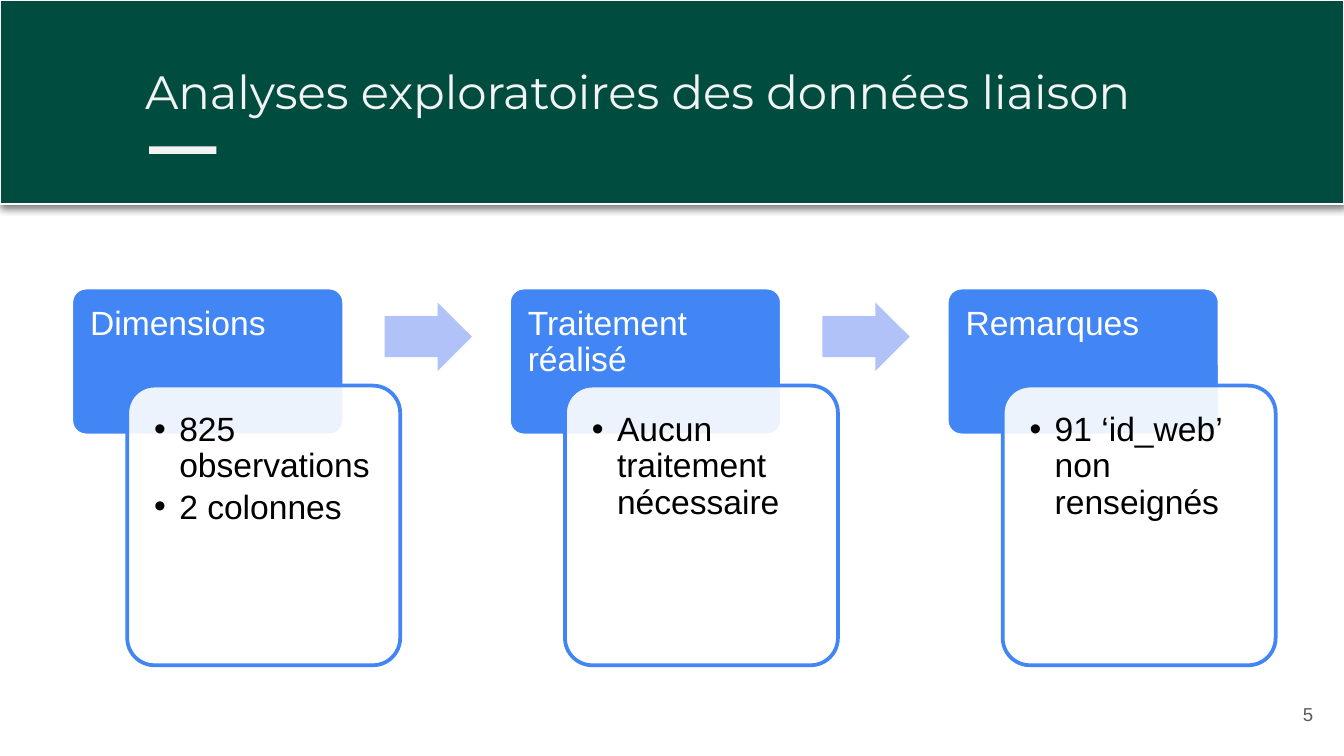
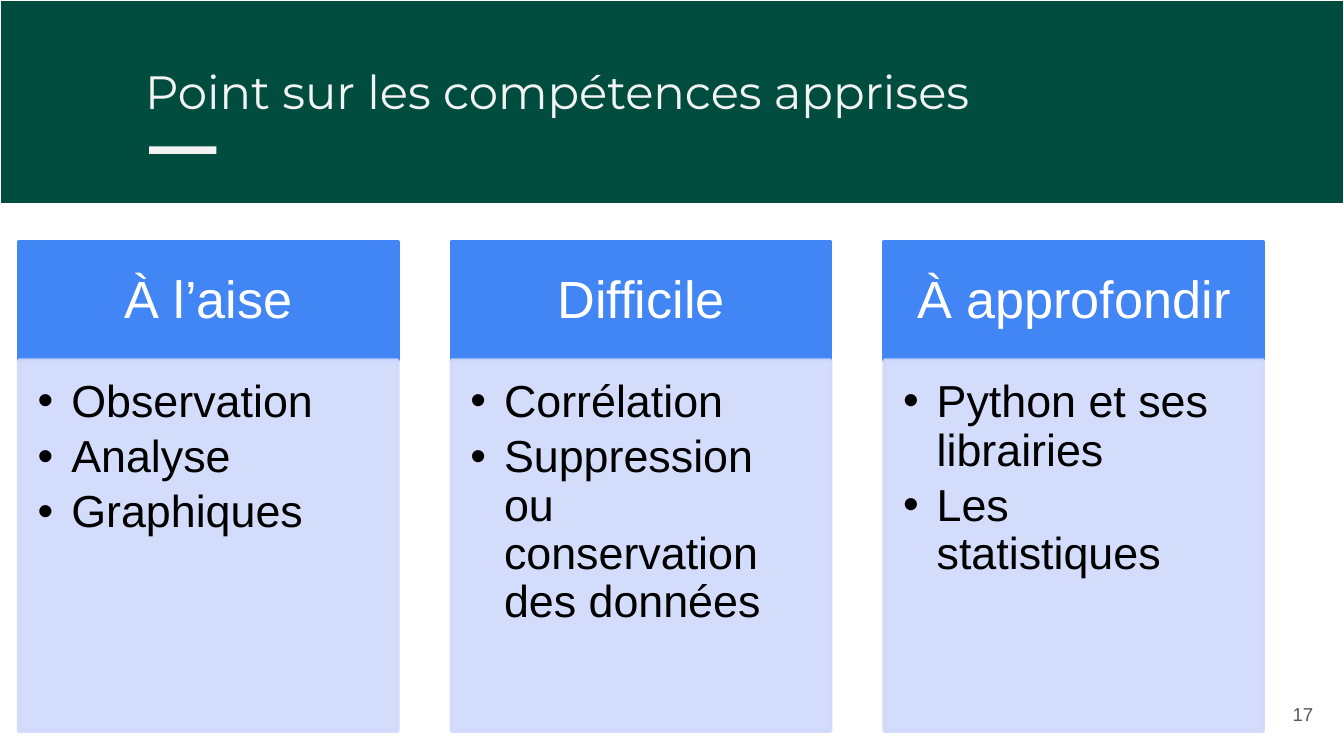
from dataclasses import dataclass

from lxml.etree import SubElement
from pptx import Presentation
from pptx.dml.color import RGBColor
from pptx.enum.shapes import MSO_SHAPE
from pptx.enum.text import MSO_ANCHOR, PP_ALIGN
from pptx.oxml.ns import qn
from pptx.util import Pt


@dataclass(frozen=True)
class Theme:
    green: str = "004D40"
    pale: str = "F3F3F3"
    white: str = "FFFFFF"
    black: str = "000000"
    grey: str = "595959"
    blue: str = "4285F4"
    arrow: str = "B0C2F8"
    panel: str = "CFD9FB"
    title_font: str = "Montserrat"
    body_font: str = "Arial"
    title_size: float = 25
    number_size: float = 10
    step_size: float = 18
    heading_size: float = 28
    item_size: float = 24
    line_spacing: float = 0.9
    heading_after: float = 0.35
    item_after: float = 0.15
    opacity: int = 90


THEME = Theme()

STEPS = [
    ("Dimensions", ["825 observations", "2 colonnes"]),
    ("Traitement réalisé", ["Aucun traitement nécessaire"]),
    ("Remarques", ["91 ‘id_web’ non renseignés"]),
]
SKILLS = [
    ("À l’aise", ["Observation", "Analyse", "Graphiques"]),
    ("Difficile", ["Corrélation", "Suppression ou conservation des données"]),
    ("À approfondir", ["Python et ses librairies", "Les statistiques"]),
]


def set_opacity(colour_parent, percent):
    for colour in colour_parent.iter(qn("a:srgbClr")):
        SubElement(colour, qn("a:alpha"), val=str(percent * 1000))


def add_block(page, kind, bounds, fill, line=None, line_width=2, adjustments=()):
    shape = page.shapes.add_shape(kind, *map(Pt, bounds))
    shape.shadow.inherit = False
    for index, value in enumerate(adjustments):
        shape.adjustments[index] = value
    shape.fill.solid()
    shape.fill.fore_color.rgb = RGBColor.from_string(fill)
    if line:
        shape.line.color.rgb = RGBColor.from_string(line)
        shape.line.width = Pt(line_width)
    else:
        shape.line.fill.background()
    return shape


def add_drop_shadow(shape):
    effects = shape.element.spPr.find(qn("a:effectLst"))
    shadow = SubElement(effects, qn("a:outerShdw"), blurRad=str(Pt(4.5)),
                        dist=str(Pt(1.5)), dir="5400000", algn="t", rotWithShape="0")
    colour = SubElement(shadow, qn("a:srgbClr"), val=THEME.black)
    SubElement(colour, qn("a:alpha"), val="50000")


def add_bullet(para, indent):
    properties = para._p.get_or_add_pPr()
    properties.set("marL", str(Pt(indent)))
    properties.set("indent", str(-Pt(indent)))
    colour = SubElement(properties, qn("a:buClr"))
    SubElement(colour, qn("a:srgbClr"), val=THEME.black)
    SubElement(properties, qn("a:buFont"), typeface=THEME.body_font)
    SubElement(properties, qn("a:buChar"), char="•")


def set_text(shape, lines, size, colour, insets, font=THEME.body_font,
             align=PP_ALIGN.LEFT, anchor=MSO_ANCHOR.TOP,
             spacing=None, after=0, bullet_indent=0):
    """Fill a shape with paragraphs; after is a share of the type size."""
    frame = shape.text_frame
    frame.word_wrap = True
    frame.vertical_anchor = anchor
    (frame.margin_left, frame.margin_top,
     frame.margin_right, frame.margin_bottom) = map(Pt, insets)
    frame.text = "\n".join(lines)
    for para in frame.paragraphs:
        if bullet_indent:
            add_bullet(para, bullet_indent)
        para.alignment = align
        para.space_after = Pt(size * after)
        if spacing:
            para.line_spacing = spacing
        for span in para.runs:
            span.font.name = font
            span.font.size = Pt(size)
            span.font.color.rgb = RGBColor.from_string(colour)


def set_heading(shape, heading, size, insets, **layout):
    set_text(shape, [heading], size, THEME.white, insets,
             spacing=THEME.line_spacing, after=THEME.heading_after, **layout)


def set_items(shape, items, size, insets, indent):
    set_text(shape, items, size, THEME.black, insets, spacing=THEME.line_spacing,
             after=THEME.item_after, bullet_indent=indent)


def add_page(deck, title, number, shadow=False):
    """Add a slide with its title band, accent bar and page number."""
    page = deck.slides.add_slide(deck.slide_layouts[6])
    band = add_block(page, MSO_SHAPE.RECTANGLE, (0, 0, 720, 109.4),
                     THEME.green, THEME.white, 0.75)
    if shadow:
        add_drop_shadow(band)
    insets = (7.2,) * 4
    title_box = page.shapes.add_textbox(*map(Pt, (70.6, 26.6, 671, 45.4)))
    set_text(title_box, [title], THEME.title_size, THEME.pale, insets, THEME.title_font)
    add_block(page, MSO_SHAPE.RECTANGLE, (79.9, 78.4, 36, 4), THEME.pale)
    number_box = page.shapes.add_textbox(*map(Pt, (667.4, 367.2, 43.2, 31)))
    set_text(number_box, [str(number)], THEME.number_size, THEME.grey, insets,
             align=PP_ALIGN.RIGHT, anchor=MSO_ANCHOR.MIDDLE)
    return page


def add_step(page, left, heading, items):
    top, width = 154.1, 146.2
    tab = add_block(page, MSO_SHAPE.ROUNDED_RECTANGLE, (left, top, width, 79.2),
                    THEME.blue, THEME.white, adjustments=[0.1])
    set_heading(tab, heading, THEME.step_size, (7.8, 7.8, 7.8, 5))
    card = add_block(page, MSO_SHAPE.ROUNDED_RECTANGLE,
                     (left + 30, top + 52.5, width, 149.8),
                     THEME.white, THEME.blue, adjustments=[0.1])
    set_opacity(card.element.spPr.find(qn("a:solidFill")), THEME.opacity)
    set_items(card, items, THEME.step_size, (10.1,) * 4, 13.5)


def add_steps(page, steps):
    first_left, pitch = 38.2, 234.5
    for index, (heading, items) in enumerate(steps):
        left = first_left + index * pitch
        add_step(page, left, heading, items)
        if index < len(steps) - 1:
            add_block(page, MSO_SHAPE.RIGHT_ARROW, (left + 167.8, 162, 46.8, 36.7),
                      THEME.arrow, adjustments=[0.6, 0.5])


def add_skill_column(page, left, heading, items):
    top, width, heading_height = 129.6, 203, 63.4
    header = add_block(page, MSO_SHAPE.RECTANGLE, (left, top, width, heading_height),
                       THEME.blue, THEME.blue)
    set_heading(header, heading, THEME.heading_size, (15.8, 8.6, 15.8, 8.6),
                align=PP_ALIGN.CENTER, anchor=MSO_ANCHOR.MIDDLE)
    panel = add_block(page, MSO_SHAPE.RECTANGLE,
                      (left, top + heading_height, width, 198.7),
                      THEME.panel, THEME.panel)
    set_opacity(panel.element.spPr, THEME.opacity)
    set_items(panel, items, THEME.item_size, (10.1, 10.1, 13.7, 15.1), 18)


def add_skill_columns(page, skills):
    first_left, pitch = 10.1, 231.8
    for index, (heading, items) in enumerate(skills):
        add_skill_column(page, first_left + index * pitch, heading, items)


def main():
    deck = Presentation()
    deck.slide_width, deck.slide_height = Pt(720), Pt(405)
    add_steps(add_page(deck, "Analyses exploratoires des données liaison", 5, shadow=True),
              STEPS)
    add_skill_columns(add_page(deck, "Point sur les compétences apprises", 17), SKILLS)
    deck.save("out.pptx")


if __name__ == "__main__":
    main()
